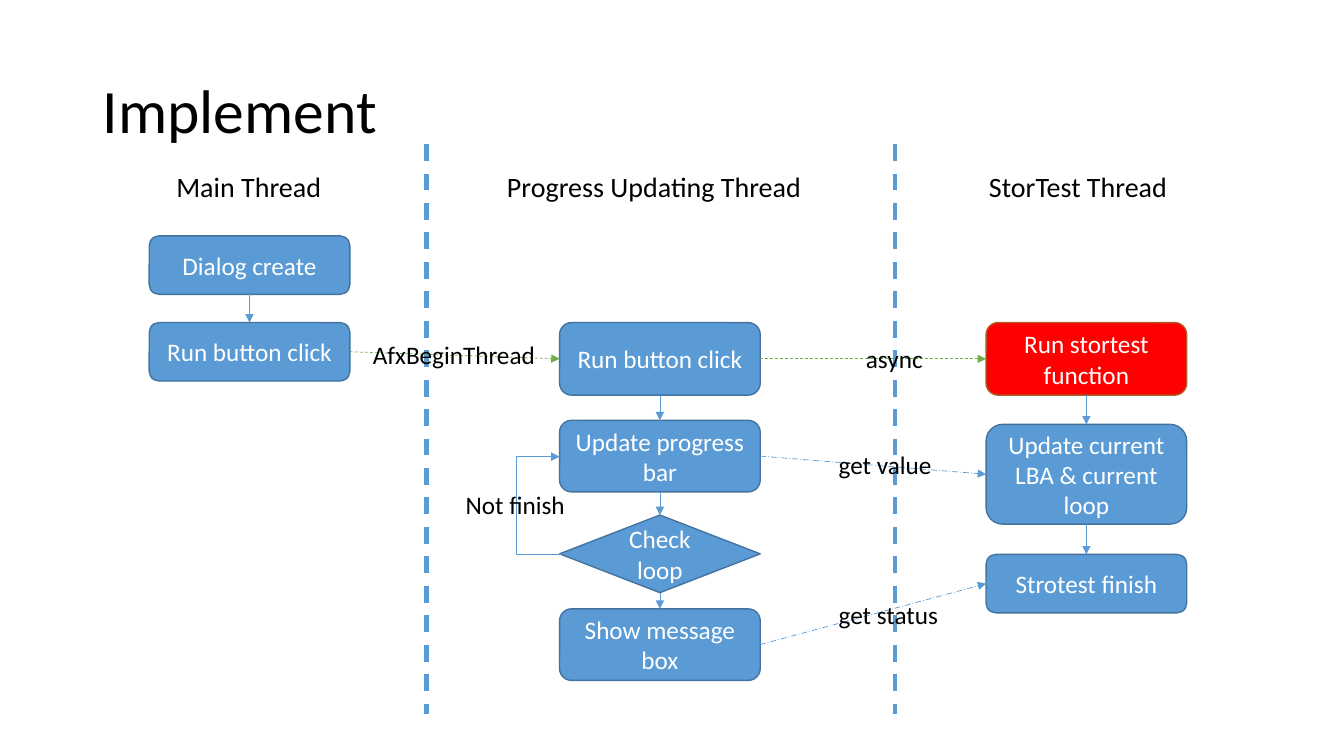
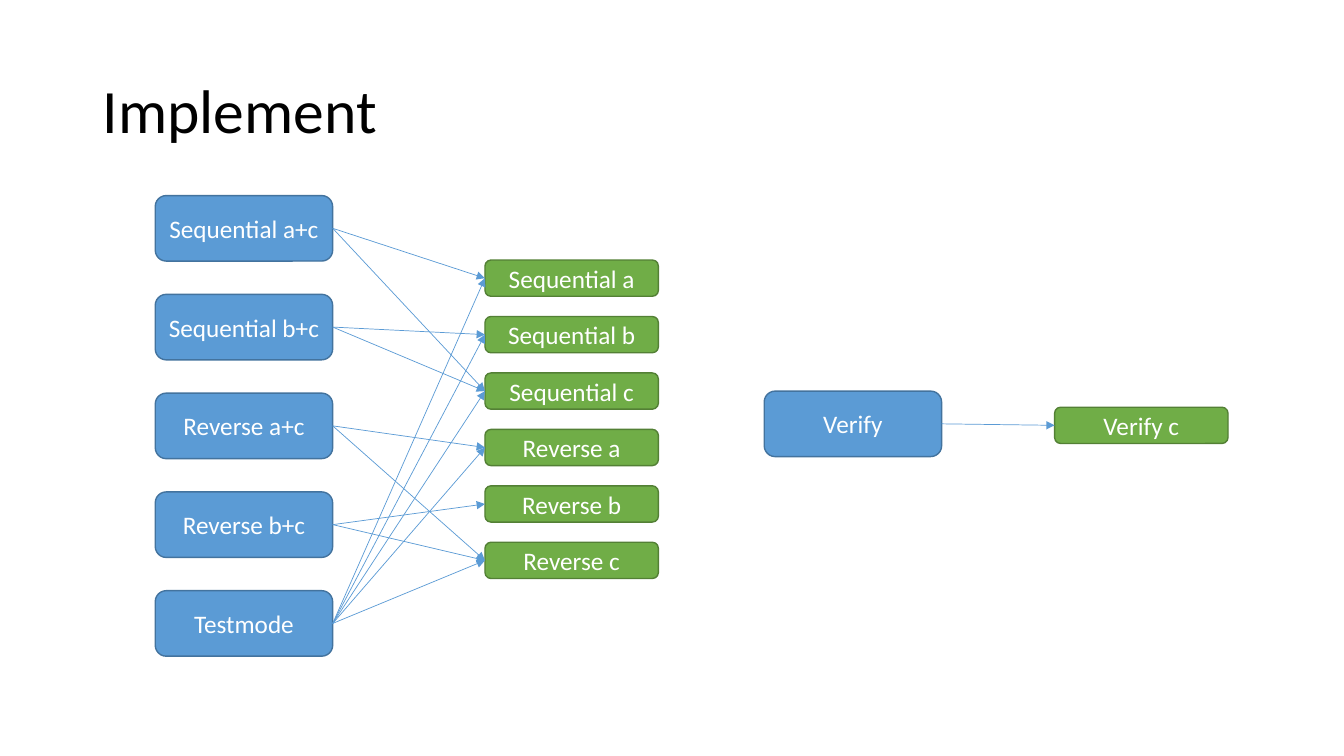
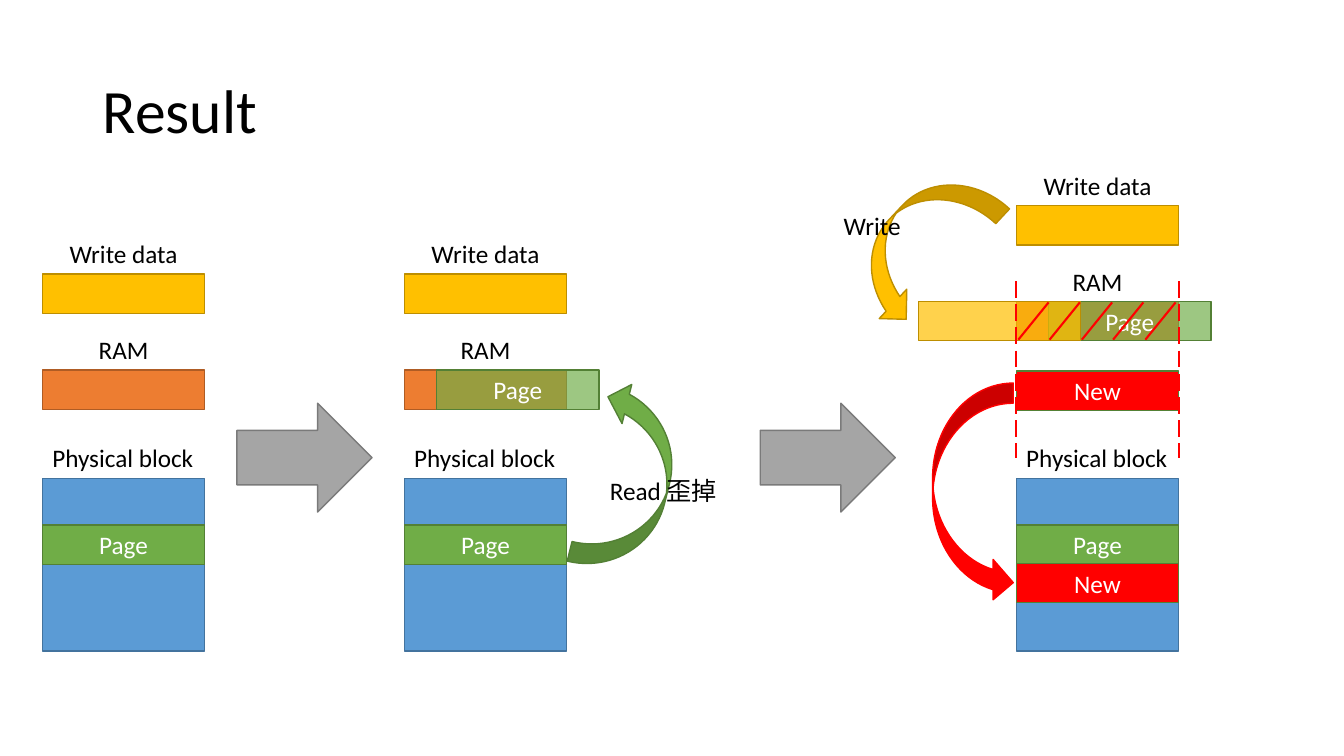
from lxml.etree import SubElement
from pptx import Presentation
from pptx.dml.color import RGBColor
from pptx.enum.dml import MSO_LINE as Dash
from pptx.enum.shapes import MSO_CONNECTOR as Link, MSO_SHAPE as Shape
from pptx.enum.text import MSO_ANCHOR as Anchor, MSO_AUTO_SIZE as AutoSize, PP_ALIGN as Align
from pptx.oxml.ns import qn
from pptx.util import Emu, Pt

PX = 9144
FONT = "Calibri"
BLACK, WHITE, RED = "000000", "FFFFFF", "FF0000"
BLUE, GREEN, GOLD = "5B9BD5", "70AD47", "FFC000"
ORANGE, GRAY = "ED7D31", "A5A5A5"
OUTLINES = {BLUE: "43739E", GREEN: "538035", GOLD: "BD8E00",
            ORANGE: "AF5C24", GRAY: "7A7A7A", RED: RED}
TOP, LEFT, BOTTOM, RIGHT = range(4)
BAR_W, BAR_H = 161, 39


def px(*lengths):
    return [Emu(length * PX) for length in lengths]


def rgb(color):
    return RGBColor.from_string(color)


def style(paragraph, size, color, align=Align.LEFT):
    paragraph.alignment = align
    paragraph.font.name = FONT
    paragraph.font.size = Pt(size)
    paragraph.font.color.rgb = rgb(color)


def new_slide(deck, heading):
    slide = deck.slides.add_slide(deck.slide_layouts[5])
    title = slide.shapes.title
    title.left, title.top, title.width, title.height = px(92, 40, 1150, 145)
    title.text_frame.text = heading
    title.text_frame.vertical_anchor = Anchor.MIDDLE
    paragraph = title.text_frame.paragraphs[0]
    style(paragraph, 44, BLACK)
    paragraph.line_spacing = 0.9
    return slide


def label(slide, text, left, top, width, height=40, size=18, align=Align.LEFT, wrap=False):
    box = slide.shapes.add_textbox(*px(left, top, width, height))
    frame = box.text_frame
    frame.text = text
    frame.word_wrap = wrap
    frame.auto_size = AutoSize.SHAPE_TO_FIT_TEXT
    style(frame.paragraphs[0], size, BLACK, align)


def block(slide, kind, at, fill, text="", outline=None, opacity=100, rotation=0):
    shape = slide.shapes.add_shape(kind, *px(*at))
    shape.shadow.inherit = False
    shape.rotation = rotation
    shape.fill.solid()
    shape.fill.fore_color.rgb = rgb(fill)
    shape.line.color.rgb = rgb(outline or OUTLINES[fill])
    shape.line.width = Pt(1)
    if opacity < 100:
        color = shape.element.spPr.find(qn("a:solidFill")).find(qn("a:srgbClr"))
        SubElement(color, qn("a:alpha")).set("val", str(opacity * 1000))
    if text:
        shape.text_frame.text = text
        shape.text_frame.vertical_anchor = Anchor.MIDDLE
        style(shape.text_frame.paragraphs[0], 18, WHITE, Align.CENTER)
    return shape


def line(slide, ends, color, width, dash=None, kind=Link.STRAIGHT, arrow=False):
    connector = slide.shapes.add_connector(kind, *px(*ends))
    connector.line.color.rgb = rgb(color)
    connector.line.width = Pt(width)
    if dash:
        connector.line.dash_style = dash
    properties = connector.element.spPr
    if arrow:
        SubElement(properties.find(qn("a:ln")), qn("a:tailEnd")).set("type", "triangle")
    SubElement(properties, qn("a:effectLst"))
    return connector


def join(slide, source, target, sides=(RIGHT, LEFT), color=BLUE, dash=None):
    arrow = line(slide, (0, 0, 0, 0), color, 0.5, dash, arrow=True)
    arrow.begin_connect(source, sides[0])
    arrow.end_connect(target, sides[1])


def loop_back(slide, left, top, bottom, reach):
    stub = 2
    arrow = line(slide, (left, top, left + stub, bottom), BLUE, 0.5, kind=Link.ELBOW, arrow=True)
    arrow.rotation = 180
    arrow.element.spPr.find(qn("a:xfrm")).set("rot", "10800000")
    adjustments = arrow.element.spPr.find(qn("a:prstGeom")).get_or_add_avLst()
    bend = SubElement(adjustments, qn("a:gd"))
    bend.set("name", "adj1")
    bend.set("fmla", f"val {(reach + stub) * 100000 // stub}")


def thread_steps(slide, left, steps):
    boxes = [block(slide, kind, (left, top, 199, height), fill, text, outline)
             for text, top, height, kind, fill, outline in steps]
    for upper, lower in zip(boxes, boxes[1:]):
        join(slide, upper, lower, (BOTTOM, TOP))
    return boxes


def threads_slide(deck):
    slide = new_slide(deck, "Implement")
    for name, left, width, wrap in (("Main Thread", 165, 165, False),
                                    ("Progress Updating Thread", 493, 325, True),
                                    ("StorTest Thread", 971, 199, False)):
        label(slide, name, left, 163, width, 44, 20, wrap=wrap)
    for x in (423, 888):
        line(slide, (x, 143, x, 708), BLUE, 3, Dash.DASH)

    rounded = Shape.ROUNDED_RECTANGLE
    main_steps = thread_steps(slide, 148, (
        ("Dialog create", 234, 58, rounded, BLUE, None),
        ("Run button click", 320, 58, rounded, BLUE, None)))
    progress_steps = thread_steps(slide, 555, (
        ("Run button click", 320, 72, rounded, BLUE, None),
        ("Update progress bar", 417, 71, rounded, BLUE, None),
        ("Check loop", 511, 77, Shape.DIAMOND, BLUE, None),
        ("Show message box", 604, 71, rounded, BLUE, None)))
    test_steps = thread_steps(slide, 978, (
        ("Run stortest function", 320, 72, rounded, RED, OUTLINES[ORANGE]),
        ("Update current LBA & current loop", 421, 99, rounded, BLUE, None),
        ("Strotest finish", 550, 58, rounded, BLUE, None)))

    run, update, _, message = progress_steps
    started, values, finished = test_steps
    join(slide, main_steps[1], run, color=GREEN, dash=Dash.DASH)
    join(slide, run, started, color=GREEN, dash=Dash.DASH)
    join(slide, update, values, dash=Dash.LONG_DASH_DOT)
    join(slide, message, finished, dash=Dash.LONG_DASH_DOT)
    loop_back(slide, 555, 453, 550, 43)
    for text, left, top, width in (("AfxBeginThread", 360, 332, 183),
                                   ("async", 849, 336, 77),
                                   ("Not finish", 452, 481, 120),
                                   ("get value", 822, 441, 113),
                                   ("get status", 822, 590, 120)):
        label(slide, text, left, top, width)


def mode_box(slide, text, left, top):
    return block(slide, Shape.ROUNDED_RECTANGLE, (left, top, 176, 65), BLUE, text)


def pass_box(slide, text, left, top):
    return block(slide, Shape.ROUNDED_RECTANGLE, (left, top, 172, 36), GREEN, text)


def modes_slide(deck):
    slide = new_slide(deck, "Implement")
    passes = [f"{order} {part}" for order in ("Sequential", "Reverse") for part in "abc"]
    modes = {
        "Sequential a+c": ("Sequential a", "Sequential c"),
        "Sequential b+c": ("Sequential b", "Sequential c"),
        "Reverse a+c": ("Reverse a", "Reverse c"),
        "Reverse b+c": ("Reverse b", "Reverse c"),
        "Testmode": ("Sequential a", "Sequential b", "Sequential c", "Reverse a", "Reverse c"),
    }
    pass_boxes = {name: pass_box(slide, name, 481, 258 + 56 * row)
                  for row, name in enumerate(passes)}
    for row, (mode, used_passes) in enumerate(modes.items()):
        source = mode_box(slide, mode, 154, 194 + 98 * row)
        for name in used_passes:
            join(slide, source, pass_boxes[name])
    join(slide, mode_box(slide, "Verify", 758, 388), pass_box(slide, "Verify c", 1046, 404))


def bar(slide, left, top, fill, text="", outline=None, opacity=100):
    block(slide, Shape.RECTANGLE, (left, top, BAR_W, BAR_H), fill, text, outline, opacity)


def memory_column(slide, left, lift=0):
    block(slide, Shape.RECTANGLE, (left, 475, BAR_W, 171), BLUE)
    label(slide, "Physical block", left, 434, BAR_W)
    bar(slide, left, 521, GREEN, "Page")
    for name, top, fill in (("RAM", 367, ORANGE), ("Write data", 272, GOLD)):
        bar(slide, left, top - lift, fill)
        label(slide, name, left, top - lift - 40, BAR_W, align=Align.CENTER, wrap=True)


def result_slide(deck):
    slide = new_slide(deck, "Result")
    before, reading, writing = 42, 401, 1008
    lift = 68
    memory_column(slide, before)
    memory_column(slide, reading)
    memory_column(slide, writing, lift)
    for left in (235, 754):
        block(slide, Shape.RIGHT_ARROW, (left, 400, 134, 108), GRAY)

    bar(slide, reading + 32, 367, GREEN, "Page", opacity=68)
    block(slide, Shape.CURVED_UP_ARROW, (530, 435, 188, 80), GREEN, rotation=283.9)
    label(slide, "Read 歪掉", 595, 467, 128)

    bar(slide, writing + 32, 367 - lift, GREEN, "Page", opacity=68)
    bar(slide, writing - 97, 367 - lift, GOLD, opacity=70)
    block(slide, Shape.CURVED_RIGHT_ARROW, (874, 157, 80, 170), GOLD, rotation=43.1)
    label(slide, "Write", 827, 204, 77)
    block(slide, Shape.CURVED_RIGHT_ARROW, (925, 380, 80, 218), RED)
    for top in (559, 368):
        bar(slide, writing, top, RED, "New", OUTLINES[GREEN])
    for x in (writing, writing + BAR_W):
        line(slide, (x, 279, x, 454), RED, 1.5, Dash.LONG_DASH)
    for stroke in range(5):
        x = writing + 32 + 63 * stroke // 2
        line(slide, (x, 300, x - 30, 337), RED, 1.5)


def main():
    deck = Presentation()
    deck.slide_width, deck.slide_height = px(1333, 750)
    threads_slide(deck)
    modes_slide(deck)
    result_slide(deck)
    deck.save("out.pptx")


if __name__ == "__main__":
    main()
